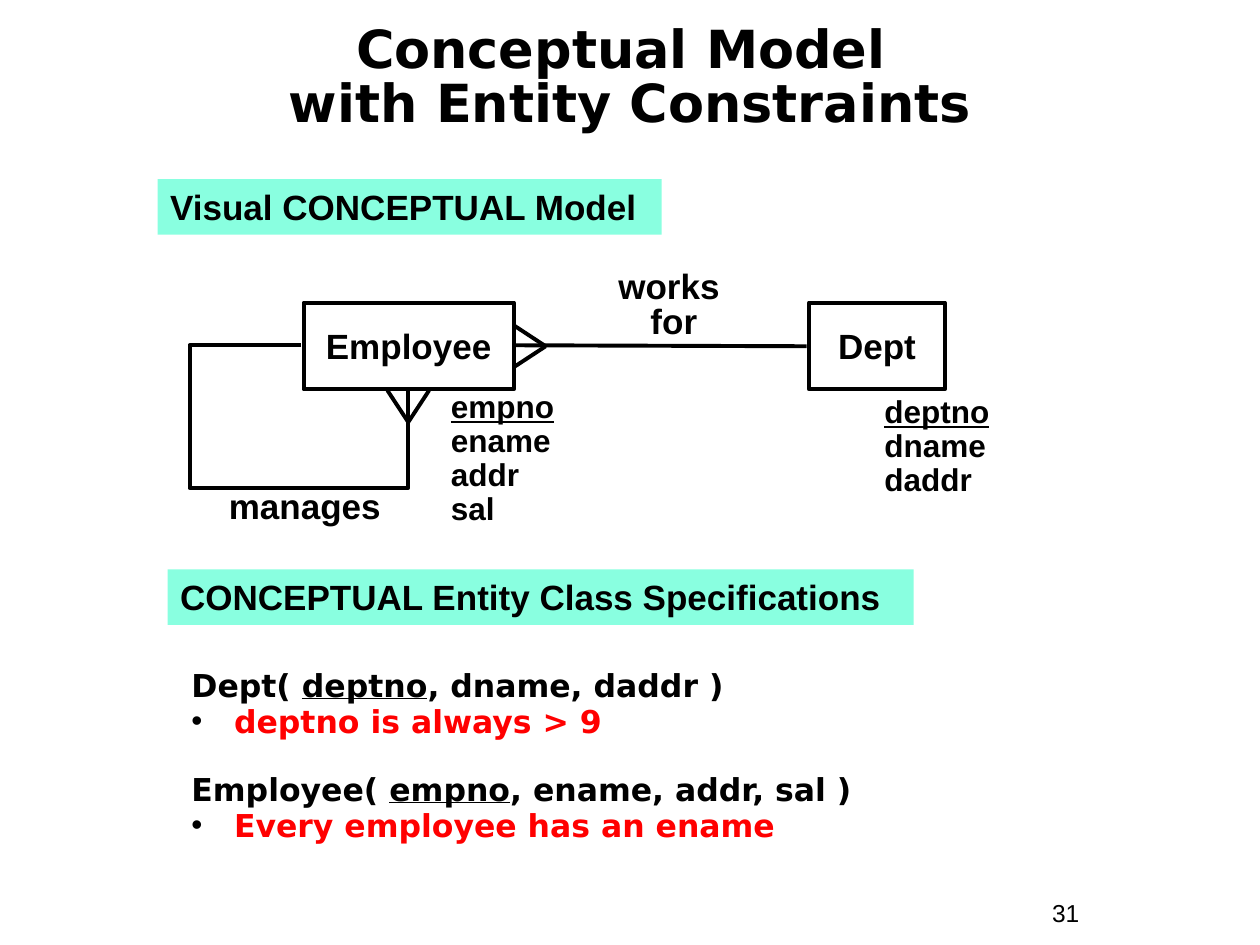
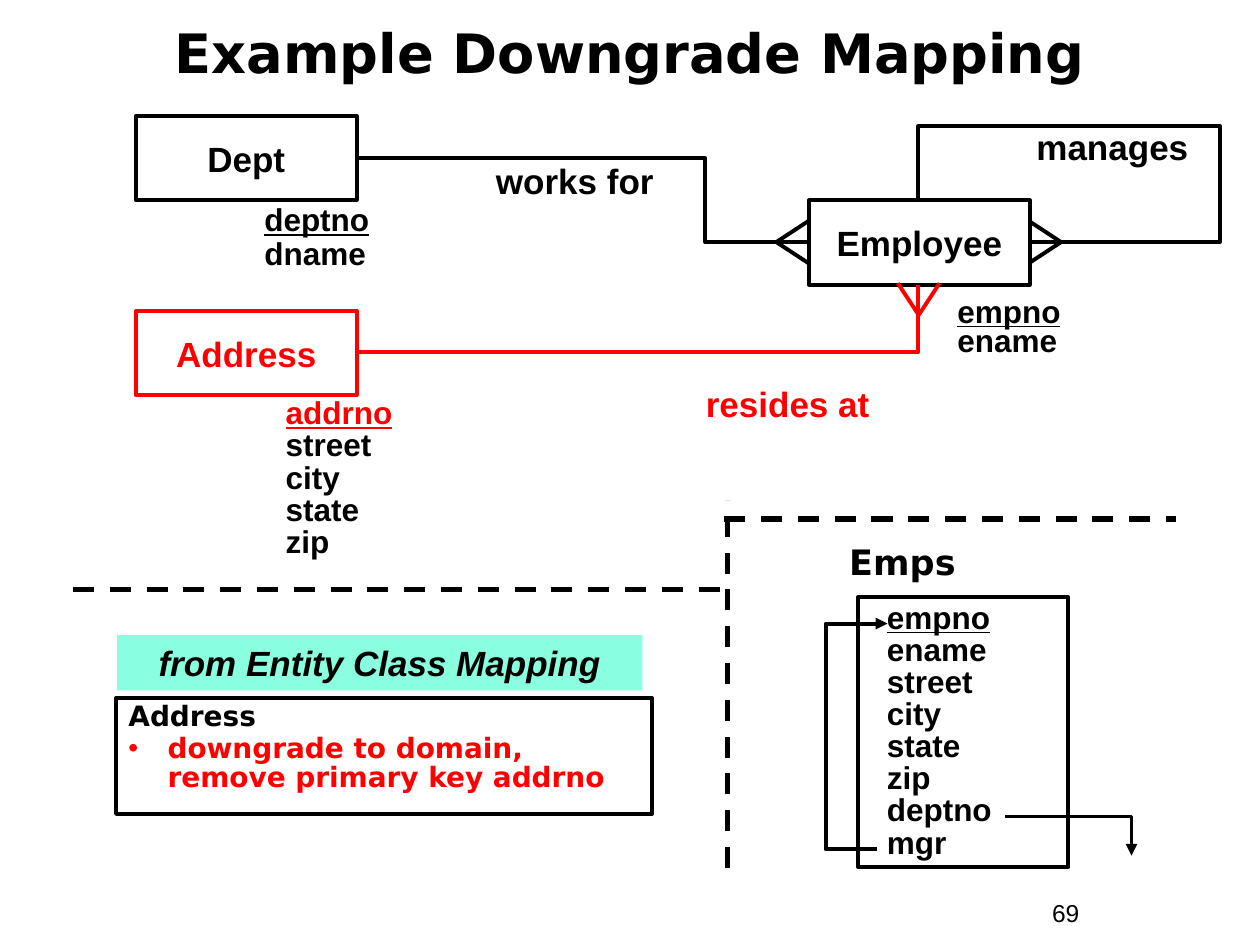
import pptx
import pptx.util
import pptx.dml.color
import pptx.enum.dml
import pptx.enum.shapes
import pptx.enum.text
import pptx.oxml
import pptx.oxml.ns

Cm, Pt = pptx.util.Cm, pptx.util.Pt
RGB = pptx.dml.color.RGBColor
ALIGN = pptx.enum.text.PP_ALIGN
ANCHOR = pptx.enum.text.MSO_ANCHOR
LINK = pptx.enum.shapes.MSO_CONNECTOR
RECT = pptx.enum.shapes.MSO_SHAPE.RECTANGLE
qn = pptx.oxml.ns.qn

BLACK = RGB(0, 0, 0)
RED = RGB(255, 0, 0)
MINT = RGB(0x89, 0xFF, 0xE0)
ARIAL, SANS = "Arial", "DejaVu Sans"

# Shared looks; each part may override single values
BASE = dict(font=ARIAL, size=20, bold=True, slant=False, ink=BLACK, align=ALIGN.LEFT,
            middle=False, lead=None, before=0, left=0, hang=0, bullet=None,
            fill=None, edge=None)
LOOKS = {
    "title": dict(font=SANS, size=30, align=ALIGN.CENTER, middle=True),
    "number": dict(size=14, bold=False),
    "entity": dict(align=ALIGN.CENTER, middle=True, edge=BLACK),
    "label": dict(align=ALIGN.CENTER),
    "attrs": dict(size=18, lead=0.9),
    "band": dict(fill=MINT),
    "rules": dict(font=SANS, size=18, lead=0.85, before=2.2),
    "head": dict(font=SANS),
}
NUMBER = (20.96, 17.98, 2.34, 0.86)
RULE = dict(ink=RED, bullet=BLACK, left=0.86, hang=-0.86)
STEP = dict(ink=RED, bullet=RED)

# Content: look, (left, top, width, height) in cm, paragraphs, overrides.
# Underscores enclose underlined keys.
MODEL = dict(
    number="31",
    boxes=[
        ("title", (0.64, 0.97, 24.13, 1.27),
         ["Conceptual Model \nwith Entity Constraints"], dict(lead=0.85)),
        ("band", (3.18, 3.61, 10.16, 1.12), ["Visual CONCEPTUAL Model"], {}),
        ("entity", (6.12, 6.1, 4.24, 1.75), ["Employee"], {}),
        ("entity", (16.31, 6.1, 2.74, 1.75), ["Dept"], {}),
        ("label", (11.58, 5.33, 4.01, 1.7), ["works \nfor"], dict(lead=0.85)),
        ("label", (4.24, 9.65, 3.81, 1.12), ["manages"], {}),
        ("attrs", (8.84, 7.77, 3.61, 3), ["_empno_", "ename", "addr", "sal"], {}),
        ("attrs", (17.58, 7.87, 3.61, 2.31), ["_deptno_", "dname", "daddr"], {}),
        ("band", (3.38, 11.48, 15.04, 1.12),
         ["CONCEPTUAL Entity Class Specifications"], {}),
        ("rules", (3.61, 13.41, 14.4, 3.73),
         ["Dept( _deptno_, dname, daddr )",
          ("deptno is always > 9", RULE),
          ("Employee( _empno_, ename, addr, sal )", dict(before=20.5)),
          ("Every employee has an ename", RULE)], {}),
    ],
    # start, end, dashed
    lines=[((16.26, 6.98), (10.39, 6.96), False)],
    # preset, frame, turn, flips, bends, colour, arrow
    elbows=[("bentConnector4", (6.07, 6.96, 2.16, 0.92), 180, "HV",
             (-1.041, 3.13), BLACK, False)],
    # tip, direction towards the entity, colour
    feet=[((11, 6.98), (-1, 0), BLACK), ((8.23, 8.51), (0, -1), BLACK)],
)

DOWNGRADE = dict(
    number="69",
    boxes=[
        ("title", (0.84, 0.2, 23.7, 1.7), ["Example Downgrade Mapping"], dict(size=31)),
        ("entity", (2.74, 2.34, 4.45, 1.7), ["Dept"], {}),
        ("entity", (16.31, 4.04, 4.45, 1.7), ["Employee"], {}),
        ("entity", (2.74, 6.27, 4.45, 1.7), ["Address"], dict(ink=RED, edge=RED)),
        ("label", (9.47, 3.1, 4.24, 1.12), ["works for"], {}),
        ("label", (20.52, 2.41, 3.81, 1.12), ["manages"], {}),
        ("label", (13.34, 7.59, 5.08, 1.12), ["resides at"], dict(ink=RED)),
        ("attrs", (5.08, 3.99, 4.24, 1.63), ["_deptno_", "dname"], {}),
        ("attrs", (19.05, 5.84, 3.38, 1.52),
         ["_empno_", ("ename", dict(lead=0.75))], {}),
        ("attrs", (5.51, 7.92, 3.38, 3.51),
         [("_addrno_", dict(ink=RED)), "street", "city", "state", "zip"],
         dict(lead=0.85)),
        ("head", (16.87, 10.77, 5.46, 1.12), ["Emps"], {}),
        ("attrs", (17.3, 12.04, 4.24, 5.44),
         ["_empno_", "ename", "street", "city", "state", "zip", "deptno", "mgr"],
         dict(lead=0.85, left=0.33, edge=BLACK)),
        ("band", (2.36, 12.8, 10.59, 1.12), ["from Entity Class Mapping"],
         dict(align=ALIGN.CENTER, slant=True)),
        ("rules", (2.34, 14.07, 10.8, 2.34),
         ["Address", ("downgrade to domain,\nremove primary key addrno", STEP)],
         dict(size=16, before=2, left=0.79, hang=-0.79, edge=BLACK)),
    ],
    lines=[((14.6, 10.46), (23.7, 10.46), True),
           ((14.66, 17.5), (14.66, 10.08), True),
           ((1.47, 11.89), (14.6, 11.89), True)],
    elbows=[
        ("bentConnector3", (7.24, 3.18, 9.02, 1.7), 0, "", (0.773,), BLACK, False),
        ("bentConnector4", (19.2, 3.3, 0.89, 2.26), 270, "H",
         (-1.617, 2.692), BLACK, False),
        ("bentConnector2", (12.19, 0.79, 1.35, 11.28), 90, "", (), RED, False),
        ("bentConnector3", (17.68, 12.57, 0.21, 4.55), 180, "H",
         (-4.933,), BLACK, True),
        ("bentConnector2", (20.27, 16.46, 2.54, 0.79), 0, "", (), BLACK, True),
    ],
    feet=[((18.52, 6.35), (0, -1), RED),
          ((21.39, 4.88), (-1, 0), BLACK),
          ((15.65, 4.88), (1, 0), BLACK)],
)


def add(parent, tag, **attrs):
    """Append a drawing element with the given attributes."""
    node = pptx.oxml.parse_xml(f"<{tag} {pptx.oxml.ns.nsdecls('a')}/>")
    for key, value in attrs.items():
        node.set(key, str(value))
    parent.append(node)
    return node


def write(para, text, look):
    # Indent and bullet come before the font
    props = para._p.get_or_add_pPr()
    props.set("marL", str(Cm(look["left"])))
    props.set("indent", str(Cm(look["hang"])))
    if look["bullet"] is not None:
        add(add(props, "a:buClr"), "a:srgbClr", val=look["bullet"])
        add(props, "a:buFont", typeface=ARIAL)
        add(props, "a:buChar", char="•")
    para.alignment = look["align"]
    if look["lead"]:
        para.line_spacing = look["lead"]
    if look["before"]:
        para.space_before = Pt(look["before"])
    font = para.font
    font.name, font.size = look["font"], Pt(look["size"])
    font.bold, font.italic = look["bold"], look["slant"]
    font.color.rgb = look["ink"]

    for row, line in enumerate(text.split("\n")):
        if row:
            para.add_line_break()
        for part, words in enumerate(line.split("_")):
            if words:
                run = para.add_run()
                run.text = words
                if part % 2:
                    run.font.underline = True


def box(slide, kind, at, paras, extra):
    look = {**BASE, **LOOKS[kind], **extra}
    spot = [Cm(n) for n in at]
    if look["fill"] is None and look["edge"] is None:
        shape = slide.shapes.add_textbox(*spot)
    else:
        shape = slide.shapes.add_shape(RECT, *spot)
        shape.shadow.inherit = False
        if look["fill"] is None:
            shape.fill.background()
        else:
            shape.fill.solid()
            shape.fill.fore_color.rgb = look["fill"]
        if look["edge"] is None:
            shape.line.fill.background()
        else:
            shape.line.color.rgb = look["edge"]
            shape.line.width = Pt(2.25)
    frame = shape.text_frame
    frame.word_wrap = True
    frame.vertical_anchor = ANCHOR.MIDDLE if look["middle"] else ANCHOR.TOP
    for row, item in enumerate(paras):
        text, own = (item, {}) if isinstance(item, str) else item
        para = frame.add_paragraph() if row else frame.paragraphs[0]
        own = {**look, **own}
        if not row:
            own["before"] = 0
        write(para, text, own)


def link(slide, start, end, ink=BLACK, dash=False, kind=LINK.STRAIGHT):
    line = slide.shapes.add_connector(kind, *(Cm(n) for n in (*start, *end)))
    line.line.color.rgb = ink
    line.line.width = Pt(3 if dash else 2.25)
    if dash:
        line.line.dash_style = pptx.enum.dml.MSO_LINE.DASH
    add(line._element.spPr, "a:effectLst")
    return line


def elbow(slide, preset, at, turn, flips, bends, ink, arrow):
    x, y, wide, high = at
    line = link(slide, (x, y), (x + wide, y + high), ink, kind=LINK.ELBOW)
    props = line._element.spPr
    frame = props.find(qn("a:xfrm"))
    if turn:
        frame.set("rot", str(turn * 60000))
    for axis in flips:
        frame.set("flip" + axis, "1")
    shape = props.find(qn("a:prstGeom"))
    shape.set("prst", preset)
    for old in list(shape):
        shape.remove(old)
    guides = add(shape, "a:avLst")
    for n, bend in enumerate(bends, 1):
        add(guides, "a:gd", name=f"adj{n}", fmla=f"val {round(bend * 100000)}")
    if arrow:
        add(props.find(qn("a:ln")), "a:tailEnd", type="triangle")


def foot(slide, tip, way, ink, reach=0.64, half=0.42):
    """Crow's foot: two strokes spreading from the tip to the entity."""
    (x, y), (dx, dy) = tip, way
    for side in (-half, half):
        link(slide, tip, (x + dx * reach + dy * side, y + dy * reach + dx * side), ink)


def build(deck, page):
    slide = deck.slides.add_slide(deck.slide_layouts[6])
    box(slide, "number", NUMBER, [page["number"]], {})
    for item in page["boxes"]:
        box(slide, *item)
    for start, end, dash in page["lines"]:
        link(slide, start, end, dash=dash)
    for item in page["elbows"]:
        elbow(slide, *item)
    for item in page["feet"]:
        foot(slide, *item)


def main():
    deck = pptx.Presentation()
    deck.slide_width, deck.slide_height = Cm(25.4), Cm(19.05)
    for page in (MODEL, DOWNGRADE):
        build(deck, page)
    deck.save("out.pptx")


if __name__ == "__main__":
    main()
